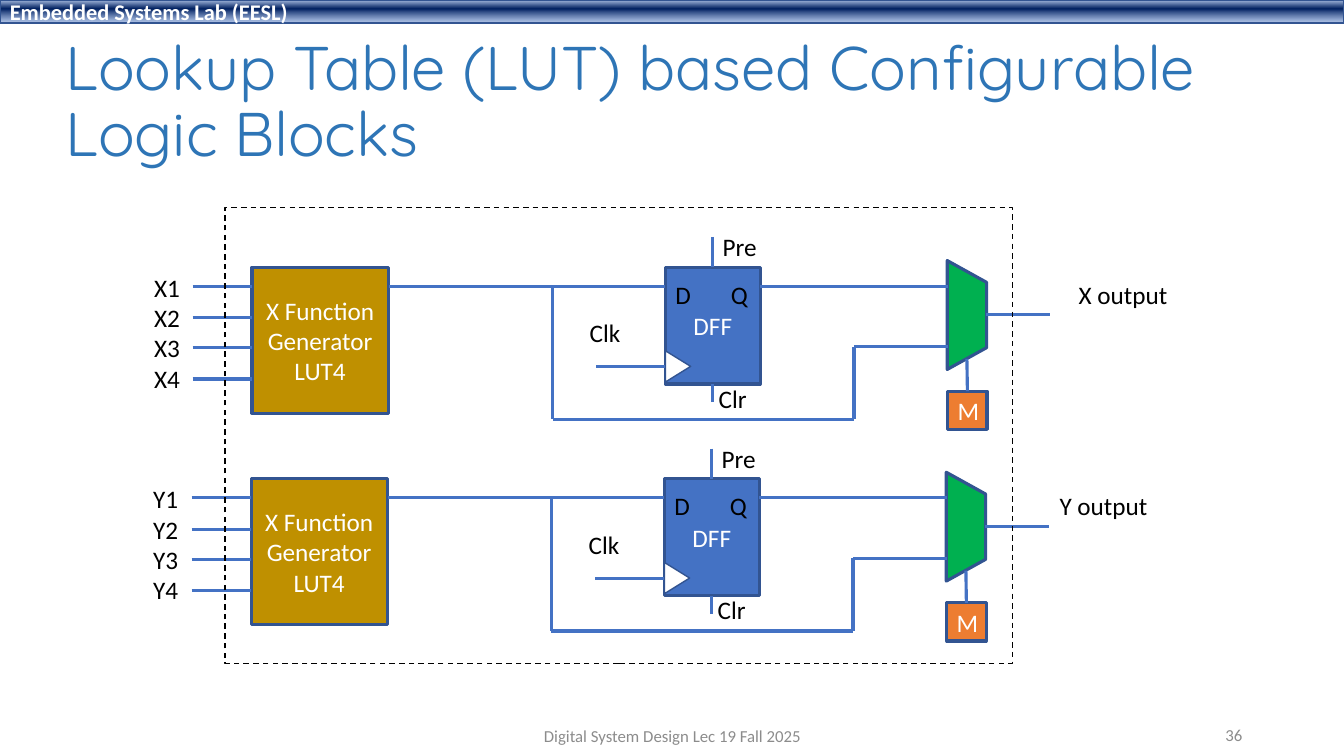
from pptx import Presentation
from pptx.dml.color import RGBColor
from pptx.enum.dml import MSO_LINE
from pptx.enum.shapes import MSO_CONNECTOR, MSO_SHAPE
from pptx.enum.text import MSO_ANCHOR, MSO_AUTO_SIZE, PP_ALIGN
from pptx.oxml import parse_xml
from pptx.oxml.ns import nsdecls, qn
from pptx.oxml.xmlchemy import OxmlElement
from pptx.util import Pt

PX = 9144  # EMU per px, 100 px to the inch
NAVY, BLUE, WHITE, BLACK, GREY = "325491", "4472C4", "FFFFFF", "000000", "8C8C8C"
ROW_SHIFT = (-1, 210)

deck = Presentation()
deck.slide_width, deck.slide_height = 1333 * PX, 750 * PX
slide = deck.slides.add_slide(deck.slide_layouts[6])
shapes = slide.shapes


def add_block(preset, at, fill, line=NAVY, weight=2.25, rotation=0):
    """Add a preset shape; a fill of None leaves it open."""
    block = shapes.add_shape(preset, *[v * PX for v in at])
    block.shadow.inherit = False
    block.rotation = rotation
    if fill:
        block.fill.solid()
        block.fill.fore_color.rgb = RGBColor.from_string(fill)
    else:
        block.fill.background()
    block.line.color.rgb = RGBColor.from_string(line)
    block.line.width = Pt(weight)
    return block


def write(holder, text, color, size=18, align=PP_ALIGN.LEFT, frame_format=None, font_format=None):
    """Put text in a shape, one paragraph per line."""
    frame = holder.text_frame
    frame.text = text
    for name, value in {"word_wrap": True, "vertical_anchor": MSO_ANCHOR.MIDDLE,
                        **(frame_format or {})}.items():
        setattr(frame, name, value)
    for paragraph in frame.paragraphs:
        paragraph.alignment = align
        font = paragraph.runs[0].font
        for name, value in {"name": "Calibri", "size": Pt(size), **(font_format or {})}.items():
            setattr(font, name, value)
        font.color.rgb = RGBColor.from_string(color)


# Header band with a three-stop gradient
header = add_block(MSO_SHAPE.RECTANGLE, (0, 0, 1333, 23), NAVY, weight=1)
header.fill.gradient()
header.fill.gradient_angle = 270
gradient = header.element.spPr.find(qn("a:gradFill"))
gradient.replace(gradient.find(qn("a:gsLst")), parse_xml(
    f'<a:gsLst {nsdecls("a")}>'
    '<a:gs pos="2000"><a:srgbClr val="ABC0E4"/></a:gs>'
    '<a:gs pos="38000"><a:srgbClr val="002060"/></a:gs>'
    '<a:gs pos="93000"><a:srgbClr val="7E9ED6"><a:alpha val="64000"/></a:srgbClr></a:gs>'
    '</a:gsLst>'))
write(header, "Embedded Systems Lab (EESL)", WHITE, 16, font_format={"bold": True})

# Title and footer
title = shapes.add_textbox(*[v * PX for v in (55, 30, 1150, 145)])
write(title, "Lookup Table (LUT) based Configurable Logic Blocks", "2E75B6", 44,
      font_format={"name": "Quicksand"})
title.text_frame.paragraphs[0].line_spacing = 0.9

for text, at, align in (
    ("36", (942, 709, 300, 40), PP_ALIGN.RIGHT),
    ("Digital System Design Lec 19 Fall 2025", (442, 710, 450, 40), PP_ALIGN.CENTER),
):
    write(shapes.add_textbox(*[v * PX for v in at]), text, GREY, 12, align)

# Two logic rows: lookup table, flip-flop, multiplexer and memory cell
for row, (signal, output_at) in enumerate((("X", (1060, 272, 109, 40)),
                                           ("Y", (1042, 272, 108, 40)))):
    dx, dy = [row * shift for shift in ROW_SHIFT]
    blocks = {}
    for name, preset, (x, y, w, h), fill, weight, rotation, text in (
        ("lut", MSO_SHAPE.RECTANGLE, (250, 265, 135, 145), "BF9000", 2.25, 0,
         "X Function Generator\nLUT4"),
        ("dff", MSO_SHAPE.RECTANGLE, (660, 265, 94, 116), BLUE, 2.25, 0, "DFF"),
        ("mux", MSO_SHAPE.FLOWCHART_MANUAL_OPERATION, (905, 293, 108, 39), "00B050", 2.25, 270, ""),
        ("clock", MSO_SHAPE.ISOSCELES_TRIANGLE, (657, 351, 31, 25), WHITE, 1, 90, ""),
        ("memory", MSO_SHAPE.RECTANGLE, (940, 388, 39, 38), "ED7D31", 2.25, 0, "M"),
    ):
        blocks[name] = add_block(preset, (x + dx, y + dy, w, h), fill, NAVY, weight, rotation)
        if text:
            write(blocks[name], text, WHITE, align=PP_ALIGN.CENTER)

    inputs = [(191, y, 250, y) for y in (284, 315, 345, 376)]
    bypass = [(548, 284), (548, 416), (847, 416), (847, 344), (940, 344)]
    wires = inputs + [start + end for start, end in zip(bypass, bypass[1:])] + [
        (386, 284, 660, 284),
        (754, 284, 940, 284),
        (978, 312, 1041, 312),
        (660, 364, 591, 364),
    ]
    joined_wires = {
        (707, 235, 707, 265): ("dff", 0),
        (707, 399, 707, 381): ("dff", 2),
        (959, 356, 959, 388): ("memory", 0),
    }
    for wire in wires + list(joined_wires):
        x1, y1, x2, y2 = wire
        connector = shapes.add_connector(
            MSO_CONNECTOR.STRAIGHT,
            *[v * PX for v in (x1 + dx, y1 + dy, x2 + dx, y2 + dy)])
        connector.line.color.rgb = RGBColor.from_string(BLUE)
        connector.line.width = Pt(2.25)
        connector.element.spPr.append(OxmlElement("a:effectLst"))
        if wire in joined_wires:
            name, side = joined_wires[wire]
            connector.end_connect(blocks[name], side)

    for text, (x, y, w, h) in (
        ("\n".join(f"{signal}{n}" for n in range(1, 5)), (143, 265, 46, 131)),
        ("D", (660, 272, 36, 40)),
        ("Q", (715, 272, 37, 40)),
        ("Clk", (575, 310, 51, 40)),
        ("Pre", (707, 225, 54, 40)),
        ("Clr", (703, 375, 48, 40)),
        (f"{signal} output", output_at),
    ):
        label = shapes.add_textbox(*[v * PX for v in (x + dx, y + dy, w, h)])
        write(label, text, BLACK, frame_format={
            "word_wrap": False,
            "vertical_anchor": MSO_ANCHOR.TOP,
            "auto_size": MSO_AUTO_SIZE.SHAPE_TO_FIT_TEXT,
        })

# Dashed outline of the configurable logic block
boundary = add_block(MSO_SHAPE.RECTANGLE, (223, 206, 781, 452), None, BLACK, 1)
boundary.line.dash_style = MSO_LINE.DASH

deck.save("out.pptx")
